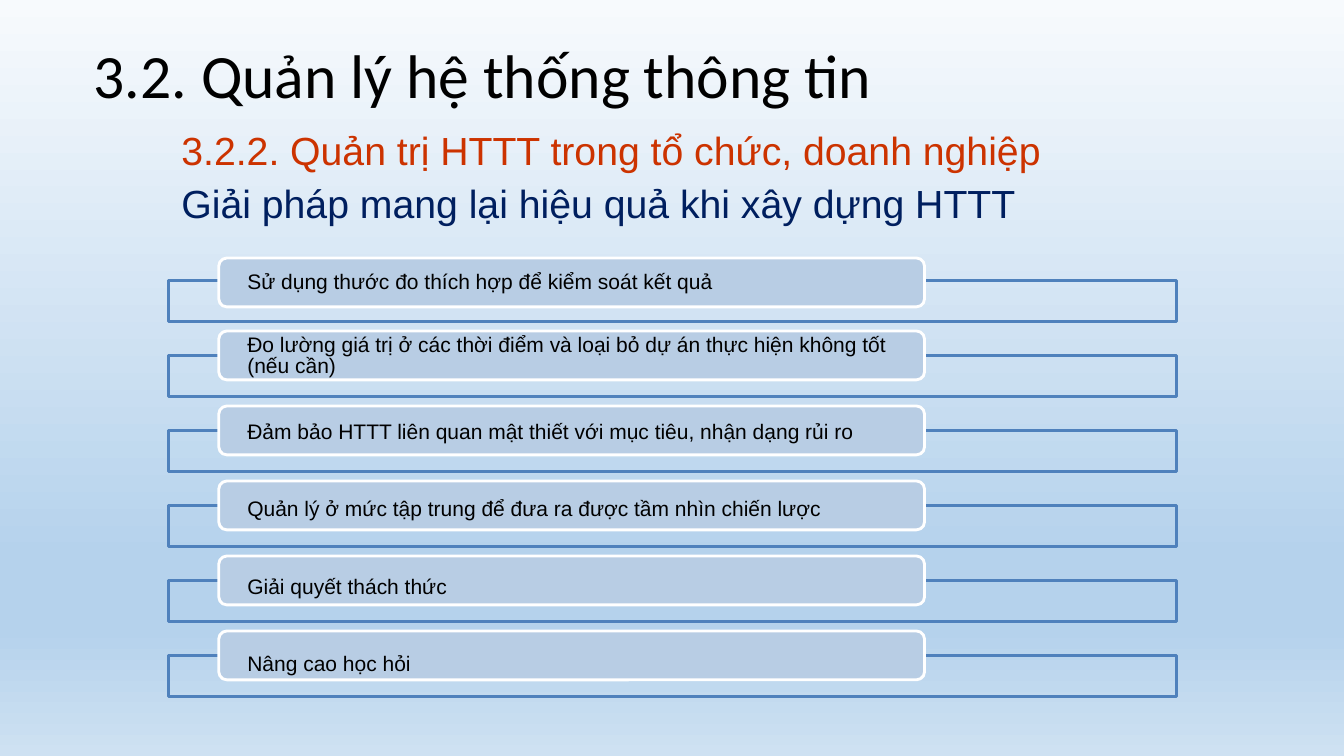
import copy
from dataclasses import dataclass

import pptx
import pptx.dml.color
import pptx.enum.shapes
import pptx.enum.text
import pptx.shapes.autoshape
import pptx.slide
import pptx.text.text
import pptx.util
from pptx.dml.color import RGBColor
from pptx.util import Inches, Pt

BLACK = RGBColor(0x00, 0x00, 0x00)
WHITE = RGBColor(0xFF, 0xFF, 0xFF)
RED = RGBColor(0xCC, 0x33, 0x00)
NAVY = RGBColor(0x00, 0x1F, 0x5F)
BAR_BLUE = RGBColor(0x4F, 0x81, 0xBC)
LABEL_BLUE = RGBColor(0xB8, 0xCD, 0xE4)
BACKGROUND_STOPS = [
    (0.0, RGBColor(0xF7, 0xFA, 0xFD)),
    (0.74, RGBColor(0xB5, 0xD2, 0xEC)),
    (0.83, RGBColor(0xB5, 0xD2, 0xEC)),
    (1.0, RGBColor(0xCE, 0xE1, 0xF2)),
]

FIRST_BAR_TOP = 2.78
ROW_PITCH = 0.744
LABEL_RISE = 0.24
LABEL_HEIGHT = 0.485
CORNER_RADIUS = 0.08


@dataclass
class Solution:
    text: str
    text_drop: float = 0.0  # text offset below the label's middle, inches
    label_drop: float = 0.0  # label offset below its regular row place, inches


SOLUTIONS = [
    Solution("Sử dụng thước đo thích hợp để kiểm soát kết quả", label_drop=0.02),
    Solution("Đo lường giá trị ở các thời điểm và loại bỏ dự án thực hiện không tốt (nếu cần)", 0.01),
    Solution("Đảm bảo HTTT liên quan mật thiết với mục tiêu, nhận dạng rủi ro", 0.02),
    Solution("Quản lý ở mức tập trung để đưa ra được tầm nhìn chiến lược", 0.04),
    Solution("Giải quyết thách thức", 0.07),
    Solution("Nâng cao học hỏi", 0.09),
]


def set_margins(frame: pptx.text.text.TextFrame, left: float, top: float, right: float) -> None:
    frame.word_wrap = True
    frame.margin_left, frame.margin_top = Inches(left), Inches(top)
    frame.margin_right, frame.margin_bottom = Inches(right), 0


def write(para, text: str, font: str, size: float, color: RGBColor) -> None:
    para.text = text
    para.alignment = pptx.enum.text.PP_ALIGN.LEFT
    para.font.name, para.font.size = font, Pt(size)
    para.font.color.rgb = color


def paint_background(page: pptx.slide.Slide) -> None:
    fill = page.background.fill
    fill.gradient()
    fill.gradient_angle = 270
    stop_list = page.element.xpath(".//a:gsLst")[0]
    while len(stop_list) < len(BACKGROUND_STOPS):
        stop_list.append(copy.deepcopy(stop_list[0]))
    for stop, (position, color) in zip(fill.gradient_stops, BACKGROUND_STOPS):
        stop.position = position
        stop.color.rgb = color


def add_outlined(page: pptx.slide.Slide, preset, left: float, top: float, width: float,
                 height: float, line: RGBColor) -> pptx.shapes.autoshape.Shape:
    shape = page.shapes.add_shape(preset, Inches(left), Inches(top), Inches(width), Inches(height))
    shape.shadow.inherit = False
    shape.line.color.rgb = line
    shape.line.width = Pt(2.04)
    return shape


def add_solution(page: pptx.slide.Slide, row: int, solution: Solution) -> None:
    presets = pptx.enum.shapes.MSO_SHAPE
    bar_top = FIRST_BAR_TOP + row * ROW_PITCH
    bar = add_outlined(page, presets.RECTANGLE, 1.67, bar_top, 10, 0.41, BAR_BLUE)
    bar.fill.background()

    label_top = bar_top - LABEL_RISE + solution.label_drop
    label = add_outlined(page, presets.ROUNDED_RECTANGLE, 2.17, label_top, 7, LABEL_HEIGHT, WHITE)
    label.adjustments[0] = CORNER_RADIUS / LABEL_HEIGHT
    label.fill.solid()
    label.fill.fore_color.rgb = LABEL_BLUE

    frame = label.text_frame
    set_margins(frame, 0.26, 2 * solution.text_drop, 0.25)
    frame.vertical_anchor = pptx.enum.text.MSO_ANCHOR.MIDDLE
    para = frame.paragraphs[0]
    write(para, solution.text, "Arial", 15, BLACK)
    para.line_spacing = Pt(15.5)


deck = pptx.Presentation()
deck.slide_width, deck.slide_height = Inches(13.33), Inches(7.5)
page = deck.slides.add_slide(deck.slide_layouts[6])
paint_background(page)

# Title
title = page.shapes.add_textbox(Inches(0.92), Inches(0), Inches(11.5), Inches(1.45)).text_frame
set_margins(title, 0.01, 0.01, 0)
title.vertical_anchor = pptx.enum.text.MSO_ANCHOR.MIDDLE
write(title.paragraphs[0], "3.2. Quản lý hệ thống thông tin", "Calibri", 44, BLACK)
title.paragraphs[0].space_before = Pt(1)

# Section heading and topic
heading = page.shapes.add_textbox(Inches(1.68), Inches(1.19), Inches(8.9), Inches(1.07)).text_frame
set_margins(heading, 0.12, 0.01, 0)
write(heading.paragraphs[0], "3.2.2. Quản trị HTTT trong tổ chức, doanh nghiệp", "Arial", 28, RED)
write(heading.add_paragraph(), "Giải pháp mang lại hiệu quả khi xây dựng HTTT", "Arial", 28, NAVY)
for para in heading.paragraphs:
    para.line_spacing = 1.12

# Solutions, one row each
for row, solution in enumerate(SOLUTIONS):
    add_solution(page, row, solution)

deck.save("out.pptx")
